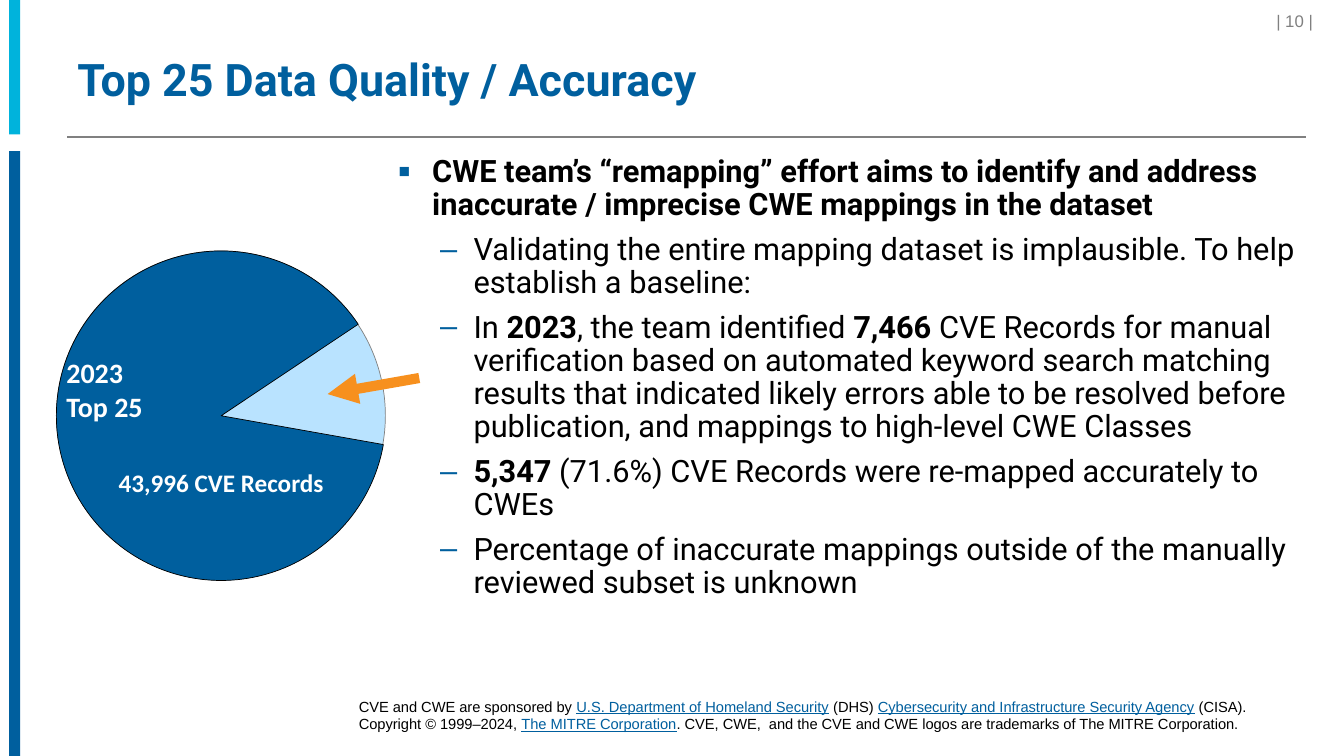
from lxml import etree
from pptx import Presentation
from pptx.dml.color import RGBColor
from pptx.enum import shapes, text
from pptx.oxml import ns
from pptx.util import Pt

BLUE = RGBColor(0x00, 0x5F, 0x9E)
CYAN = RGBColor(0x00, 0xB3, 0xDC)
PALE_BLUE = RGBColor(0xB9, 0xE3, 0xFF)
ORANGE = RGBColor(0xF7, 0x90, 0x1E)
GRAY = RGBColor(0x80, 0x80, 0x80)
BLACK = RGBColor(0, 0, 0)
WHITE = RGBColor(0xFF, 0xFF, 0xFF)

presentation = Presentation()
presentation.slide_width = Pt(960)
presentation.slide_height = Pt(540)
slide = presentation.slides.add_slide(presentation.slide_layouts[6])


def add_frame(left, top, width, height, inset=7.2, anchor=text.MSO_ANCHOR.TOP):
    frame = slide.shapes.add_textbox(Pt(left), Pt(top), Pt(width), Pt(height)).text_frame
    frame.word_wrap = True
    frame.margin_left = frame.margin_right = Pt(inset)
    frame.margin_top = frame.margin_bottom = Pt(3.6)
    frame.vertical_anchor = anchor
    return frame


def write(paragraph, words, size, color, font="Roboto", bold=False, underline=False):
    run = paragraph.add_run()
    run.text = words
    run.font.size = Pt(size)
    run.font.name = font
    run.font.color.rgb = color
    run.font.bold = bold
    run.font.underline = underline


ellipse, pie, rectangle = (shapes.MSO_SHAPE.OVAL, shapes.MSO_SHAPE.PIE, shapes.MSO_SHAPE.RECTANGLE)
for kind, left, top, width, height, fill, outline in [
    (rectangle, 6.5, 0, 8, 96, CYAN, None),
    (rectangle, 6.5, 108, 8, 432, BLUE, None),
    (ellipse, 40.3, 179.3, 235, 235, PALE_BLUE, GRAY),
    (pie, 40.3, 179.3, 235.4, 235.4, BLUE, BLACK),
]:
    shape = slide.shapes.add_shape(kind, Pt(left), Pt(top), Pt(width), Pt(height))
    shape.shadow.inherit = False
    shape.fill.solid()
    shape.fill.fore_color.rgb = fill
    if outline is None:
        shape.line.fill.background()
    else:
        shape.line.color.rgb = outline
        shape.line.width = Pt(0.5)
    if kind == pie:
        shape.adjustments[0] = 6.05
        shape.adjustments[1] = 195.77

for start_x, start_y, end_x, end_y, color, width, has_head in [
    (48.2, 97.9, 933.1, 97.9, GRAY, 1, False),
    (299.5, 270, 234, 281.5, ORANGE, 7.25, True),
]:
    connector = slide.shapes.add_connector(
        shapes.MSO_CONNECTOR.STRAIGHT, Pt(start_x), Pt(start_y), Pt(end_x), Pt(end_y))
    connector.line.color.rgb = color
    connector.line.width = Pt(width)
    if has_head:
        etree.SubElement(connector.line._get_or_add_ln(), ns.qn("a:tailEnd"), type="triangle")
    etree.SubElement(connector._element.spPr, ns.qn("a:effectLst"))

title = add_frame(48.2, 28.8, 885, 59, anchor=text.MSO_ANCHOR.MIDDLE).paragraphs[0]
title.line_spacing = 0.9
write(title, "Top 25 Data Quality / Accuracy", 32, BLUE, bold=True)

page_number = add_frame(809.3, 4.3, 139, 20.2).paragraphs[0]
page_number.alignment = text.PP_ALIGN.RIGHT
write(page_number, "| 10 | ", 12, GRAY, font="Arial")

pie_title = add_frame(40.3, 250.7, 110, 56)
write(pie_title.paragraphs[0], "2023", 20, WHITE, font="Calibri", bold=True)
write(pie_title.add_paragraph(), "Top 25", 20, WHITE, font="Calibri", bold=True)

pie_count = add_frame(40.3, 330.5, 235.4, 30).paragraphs[0]
pie_count.alignment = text.PP_ALIGN.CENTER
write(pie_count, "43,996 CVE Records", 18, WHITE, font="Calibri", bold=True)

points = [
    (0, [("CWE team’s “remapping” effort aims to identify and address inaccurate / imprecise "
          "CWE mappings in the dataset", True)]),
    (1, [("Validating the entire mapping dataset is implausible. To help establish a baseline:", False)]),
    (1, [("In ", False), ("2023", True), (", the team identified ", False), ("7,466 ", True),
         ("CVE Records for manual verification based on automated keyword search matching results "
          "that indicated likely errors able to be resolved before publication, and mappings to "
          "high-level CWE Classes", False)]),
    (1, [("5,347", True), (" (71.6%) CVE Records were re-mapped accurately to CWEs", False)]),
    (1, [("Percentage of inaccurate mappings outside of the manually reviewed subset is unknown", False)]),
]
bullet_styles = [("▪", 24.5, -24.5, "120000"), ("–", 54, -23.8, "100000")]
body = add_frame(277.2, 108, 656, 377.3)
for index, (level, runs) in enumerate(points):
    paragraph = body.add_paragraph() if index else body.paragraphs[0]
    character, margin, indent, scale = bullet_styles[level]
    paragraph.level = level
    properties = paragraph._p.get_or_add_pPr()
    properties.set("marL", str(Pt(margin)))
    properties.set("indent", str(Pt(indent)))
    bullet_color = etree.SubElement(properties, ns.qn("a:buClr"))
    etree.SubElement(bullet_color, ns.qn("a:srgbClr"), val=str(BLUE))
    etree.SubElement(properties, ns.qn("a:buSzPct"), val=scale)
    etree.SubElement(properties, ns.qn("a:buFont"), typeface="Arial")
    etree.SubElement(properties, ns.qn("a:buChar"), char=character)
    paragraph.line_spacing = 0.9
    paragraph.space_after = Pt(8)
    for words, bold in runs:
        write(paragraph, words, 22, BLACK, bold=bold)

footer = add_frame(252.7, 494.6, 687, 32.4, inset=3.6).paragraphs[0]
for words, is_link in [
    ("CVE and CWE are sponsored by ", False),
    ("U.S. Department of Homeland Security", True),
    (" (DHS) ", False),
    ("Cybersecurity and Infrastructure Security Agency", True),
    (" (CISA). Copyright © 1999–2024, ", False),
    ("The MITRE Corporation", True),
    (". CVE, CWE,  and the CVE and CWE logos are trademarks of The MITRE Corporation.", False),
]:
    write(footer, words, 10.5, BLUE if is_link else BLACK, font="Arial", underline=is_link)

presentation.save("out.pptx")
